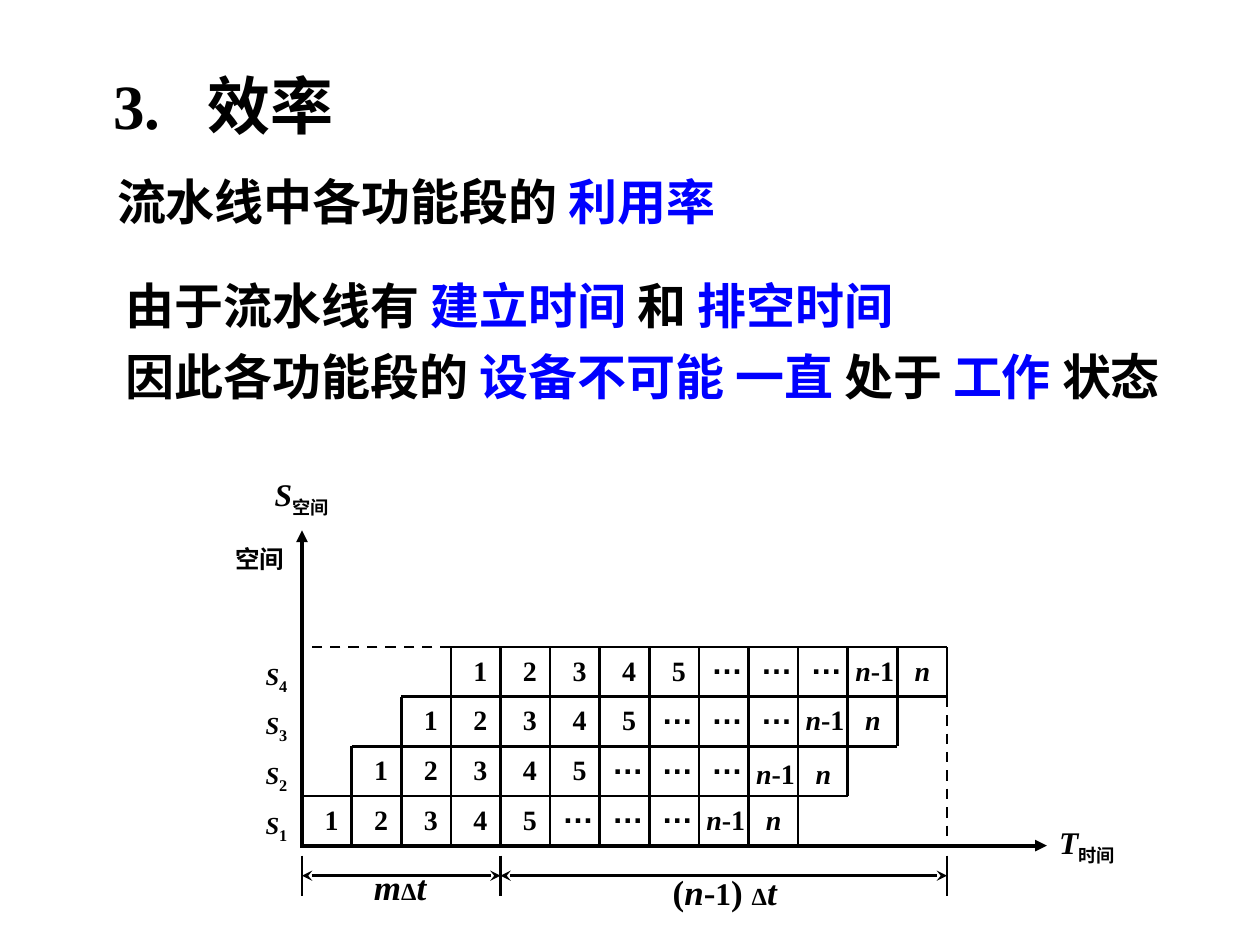
from dataclasses import dataclass
from typing import Optional

from lxml.etree import SubElement
from pptx import Presentation
from pptx.dml.color import RGBColor
from pptx.enum.dml import MSO_LINE
from pptx.enum.shapes import MSO_CONNECTOR
from pptx.enum.text import MSO_ANCHOR, MSO_AUTO_SIZE
from pptx.oxml.ns import qn
from pptx.util import Pt

COLORS = {"ink": "000000", "key": "0000FF"}
SERIF, SANS = "Times New Roman", "Arial"

# Grid of the space-time chart
LEFT, BASE, STEP = 172.6, 483.2, 28.35
ROWS, COLS, TASKS = 4, 13, 10


@dataclass
class Run:
    text: str
    size: float
    italic: bool = False
    color: str = "ink"
    font: str = SERIF
    sub: bool = False


@dataclass
class Box:
    left: float
    top: float
    width: float
    height: float
    lines: list[list[Run]]
    inset: float = 7.2
    tabs: tuple[float, ...] = ()
    gap: float = 0
    middle: bool = False


@dataclass
class Line:
    x1: float
    y1: float
    x2: float
    y2: float
    width: float = 1.5
    dash: bool = False
    head: Optional[str] = None
    tail: Optional[str] = None


def col(n: float) -> float:
    return LEFT + n * STEP


def level(n: float) -> float:
    return BASE - n * STEP


def draw_box(slide, box: Box) -> None:
    shape = slide.shapes.add_textbox(
        Pt(box.left), Pt(box.top), Pt(box.width), Pt(box.height))
    frame = shape.text_frame
    frame.word_wrap = True
    frame.margin_left = Pt(box.inset)
    frame.margin_right = Pt(7.2)
    frame.margin_top = frame.margin_bottom = Pt(3.6)
    if box.middle:
        frame.vertical_anchor = MSO_ANCHOR.MIDDLE
    else:
        frame.auto_size = MSO_AUTO_SIZE.SHAPE_TO_FIT_TEXT
    for i, line in enumerate(box.lines):
        para = frame.add_paragraph() if i else frame.paragraphs[0]
        if box.tabs:
            stops = SubElement(para._p.get_or_add_pPr(), qn("a:tabLst"))
            for stop in box.tabs:
                SubElement(stops, qn("a:tab"), pos=str(Pt(stop)), algn="l")
        if i:
            para.space_before = Pt(box.gap)
        for item in line:
            run = para.add_run()
            run.text = item.text
            font = run.font
            font.name, font.size = item.font, Pt(item.size)
            font.bold, font.italic = True, item.italic
            font.color.rgb = RGBColor.from_string(COLORS[item.color])
            if item.sub:
                run._r.get_or_add_rPr().set("baseline", "-25000")


def draw_line(slide, line: Line) -> None:
    shape = slide.shapes.add_connector(
        MSO_CONNECTOR.STRAIGHT,
        Pt(line.x1), Pt(line.y1), Pt(line.x2), Pt(line.y2))
    shape.line.width = Pt(line.width)
    shape.line.color.rgb = RGBColor.from_string(COLORS["ink"])
    if line.dash:
        shape.line.dash_style = MSO_LINE.DASH
    for tag, kind in (("a:headEnd", line.head), ("a:tailEnd", line.tail)):
        if kind:
            SubElement(shape.line._get_or_add_ln(), qn(tag), type=kind)
    SubElement(shape._element.spPr, qn("a:effectLst"))


def prose() -> list[Box]:
    def mix(*parts: str) -> list[Run]:
        # Black and blue parts take turns
        return [Run(part, 28, color="key" if i % 2 else "ink")
                for i, part in enumerate(parts)]

    return [
        Box(64.8, 38.9, 185.8, 41.8, [[Run("3.\t效率", 36)]],
            inset=0, tabs=(54,), middle=True),
        Box(59.8, 94.3, 694, 41, [mix("流水线中各功能段的 ", "利用率")]),
        Box(64.8, 154.1, 612.7, 81.4, [
            mix("由于流水线有 ", "建立时间", " 和 ", "排空时间"),
            mix("因此各功能段的 ", "设备不可能 一直", " 处于 ", "工作", " 状态"),
        ], gap=7),
    ]


def grid() -> list[Line]:
    lines = [Line(col(c), level(max(0, c - TASKS)), col(c), level(min(c + 1, ROWS)))
             for c in range(1, COLS + 1)]
    lines += [Line(col(k - 1), level(k), col(min(k + TASKS, COLS)), level(k))
              for k in range(1, ROWS + 1)]
    # Dashed guides
    lines += [Line(col(3), level(4), LEFT, level(4), dash=True),
              Line(col(COLS), level(3), col(COLS), BASE, dash=True)]
    # Axes
    lines += [Line(LEFT, BASE, 598.2, BASE, 2.25, tail="triangle"),
              Line(LEFT, BASE + 1.1, LEFT, 303.1, 2.25, tail="triangle")]
    # Time spans under the chart
    marks = [col(c) for c in (0, 4, COLS)]
    lines += [Line(x, 489, x, 511.8) for x in marks]
    lines += [Line(a, 500.4, b, 500.4, head="stealth", tail="stealth")
              for a, b in zip(marks, marks[1:])]
    return lines


def tasks(row: int) -> list[Box]:
    top = level(row + 1)
    boxes = [Box(col(row + d) + 5.8, top, 17.3, 26.6, [[Run(str(d + 1), 16)]])
             for d in range(5)]
    boxes.append(Box(col(row + 5) - 28.35 * 1, top - 5.7, 90.7, 28.8,
                     [[Run("…\t…\t…", 18, font=SANS)]], tabs=(STEP, 2 * STEP)))
    boxes[-1].left = col(row + 5)
    drop = 2.2 if row == 1 else 0
    boxes.append(Box(col(row + 8), top + drop, 67.7, 26.6,
                     [[Run("n", 16, True), Run("-1\t", 16), Run("n", 16, True)]],
                     inset=4.3, tabs=(34,)))
    # Stage name
    boxes.append(Box(144.7, top + 2.2, 33.8, 29.5,
                     [[Run("S", 14, True), Run(str(row + 1), 16, sub=True)]]))
    return boxes


def labels() -> list[Box]:
    return [
        Box(149.8, 267.8, 56.9, 31.7,
            [[Run("S", 18, True), Run("空间", 18, sub=True)]]),
        Box(127.4, 307.4, 56.9, 24.5, [[Run("空间", 14)]]),
        Box(598.2, 466.6, 67.7, 31.7,
            [[Run("T", 18, True), Run("时间", 18, sub=True)]]),
        Box(206.6, 491, 107.3, 31.7,
            [[Run("m", 20, True), Run("Δ", 14), Run("t", 20, True)]]),
        Box(377.3, 493.9, 107.3, 31.7,
            [[Run("(", 20), Run("n", 20, True), Run("-", 20), Run("1", 18),
              Run(") ", 20), Run("Δ", 14), Run("t", 20, True)]]),
    ]


def main() -> None:
    deck = Presentation()
    deck.slide_width, deck.slide_height = Pt(720), Pt(540)
    slide = deck.slides.add_slide(deck.slide_layouts[6])
    for line in grid():
        draw_line(slide, line)
    boxes = prose() + labels()
    for row in range(ROWS):
        boxes += tasks(row)
    for box in boxes:
        draw_box(slide, box)
    deck.save("out.pptx")


if __name__ == "__main__":
    main()
